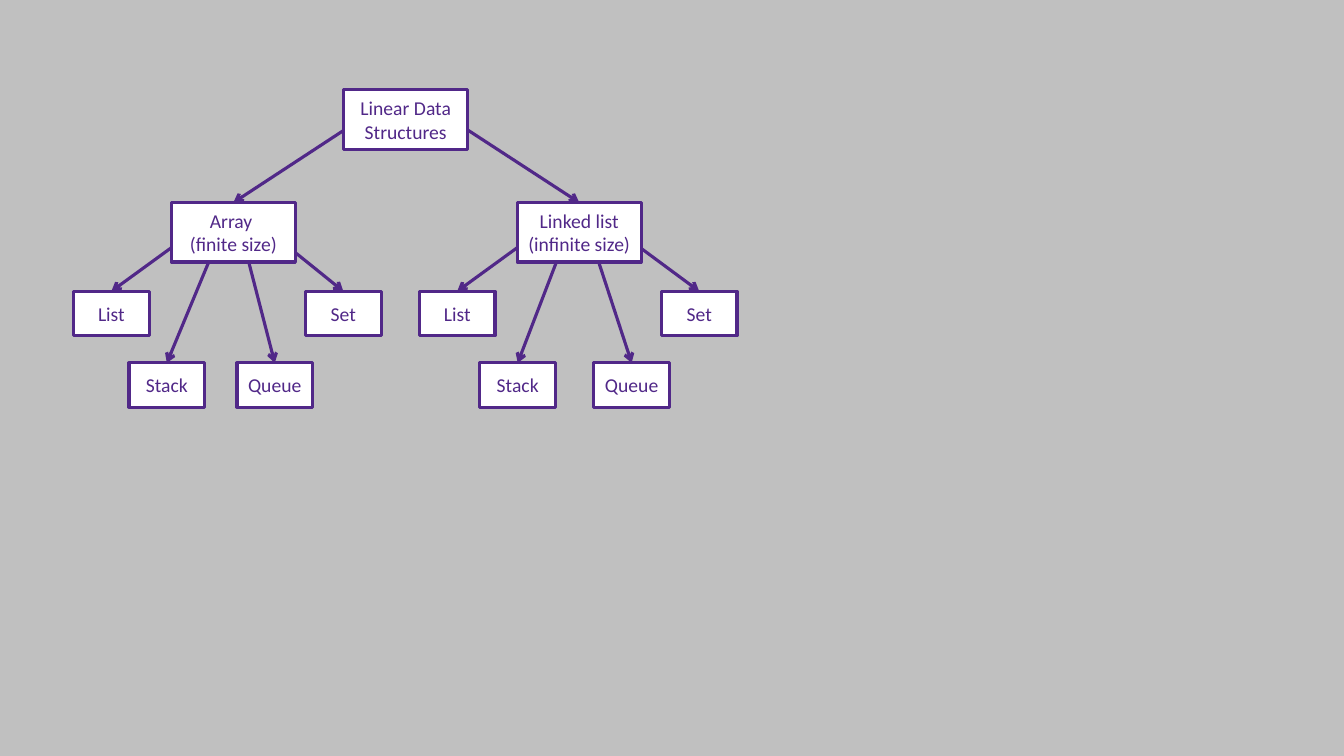
from pptx import Presentation
from pptx.util import Inches, Pt
from pptx.dml.color import RGBColor
from pptx.enum.shapes import MSO_SHAPE, MSO_CONNECTOR
from pptx.enum.text import PP_ALIGN, MSO_ANCHOR
from lxml.etree import SubElement
from pptx.oxml.ns import qn

HUE = {name: RGBColor.from_string(code) for name, code in {
    "back": "C0C0C0", "ink": "512888", "fill": "FFFFFF"}.items()}
BIG = (1.23, 0.59)
LEAF = (0.75, 0.44)
ROWS = [0.89, 2.01, 2.89, 3.6]

deck = Presentation()
deck.slide_width, deck.slide_height = Inches(13.33), Inches(7.5)
slide = deck.slides.add_slide(deck.slide_layouts[6])
slide.background.fill.solid()
slide.background.fill.fore_color.rgb = HUE["back"]
shapes = slide.shapes


def add_box(text, left, row, size):
    box = shapes.add_shape(MSO_SHAPE.RECTANGLE, *map(Inches, (left, ROWS[row], *size)))
    box.shadow.inherit = False
    box.fill.solid()
    box.fill.fore_color.rgb = HUE["fill"]
    box.line.color.rgb = HUE["ink"]
    box.line.width = Pt(2.25)
    frame = box.text_frame
    frame.word_wrap = True
    frame.vertical_anchor = MSO_ANCHOR.MIDDLE
    frame.margin_left = frame.margin_right = Inches(0.05)
    frame.text = text
    para = frame.paragraphs[0]
    para.alignment = PP_ALIGN.CENTER
    para.font.name, para.font.size = "Calibri", Pt(14)
    para.font.color.rgb = HUE["ink"]
    return box


def add_links(top, kids):
    for kid in kids:
        link = shapes.add_connector(MSO_CONNECTOR.STRAIGHT, 0, 0, 0, 0)
        link.begin_connect(top, 0)
        link.end_connect(kid, 0)
        link.line.color.rgb = HUE["ink"]
        link.line.width = Pt(2.25)
        SubElement(link.line._get_or_add_ln(), qn("a:tailEnd"), type="arrow")
        SubElement(link._element.spPr, qn("a:effectLst"))
    shapes._spTree.append(top._element)


LEAVES = [("List", 2), ("Stack", 3), ("Queue", 3), ("Set", 2)]
TREES = [
    ("Array \v(finite size)", 1.7, [0.73, 1.28, 2.35, 3.03]),
    ("Linked list\v(infinite size)", 5.13, [4.16, 4.76, 5.89, 6.56]),
]

heads = []
for text, left, spots in TREES:
    head = add_box(text, left, 1, BIG)
    kids = [add_box(name, spot, row, LEAF)
            for (name, row), spot in zip(LEAVES, spots)]
    add_links(head, kids)
    heads.append(head)

root = add_box("Linear Data Structures", 3.41, 0, BIG)
add_links(root, heads)

deck.save("out.pptx")
